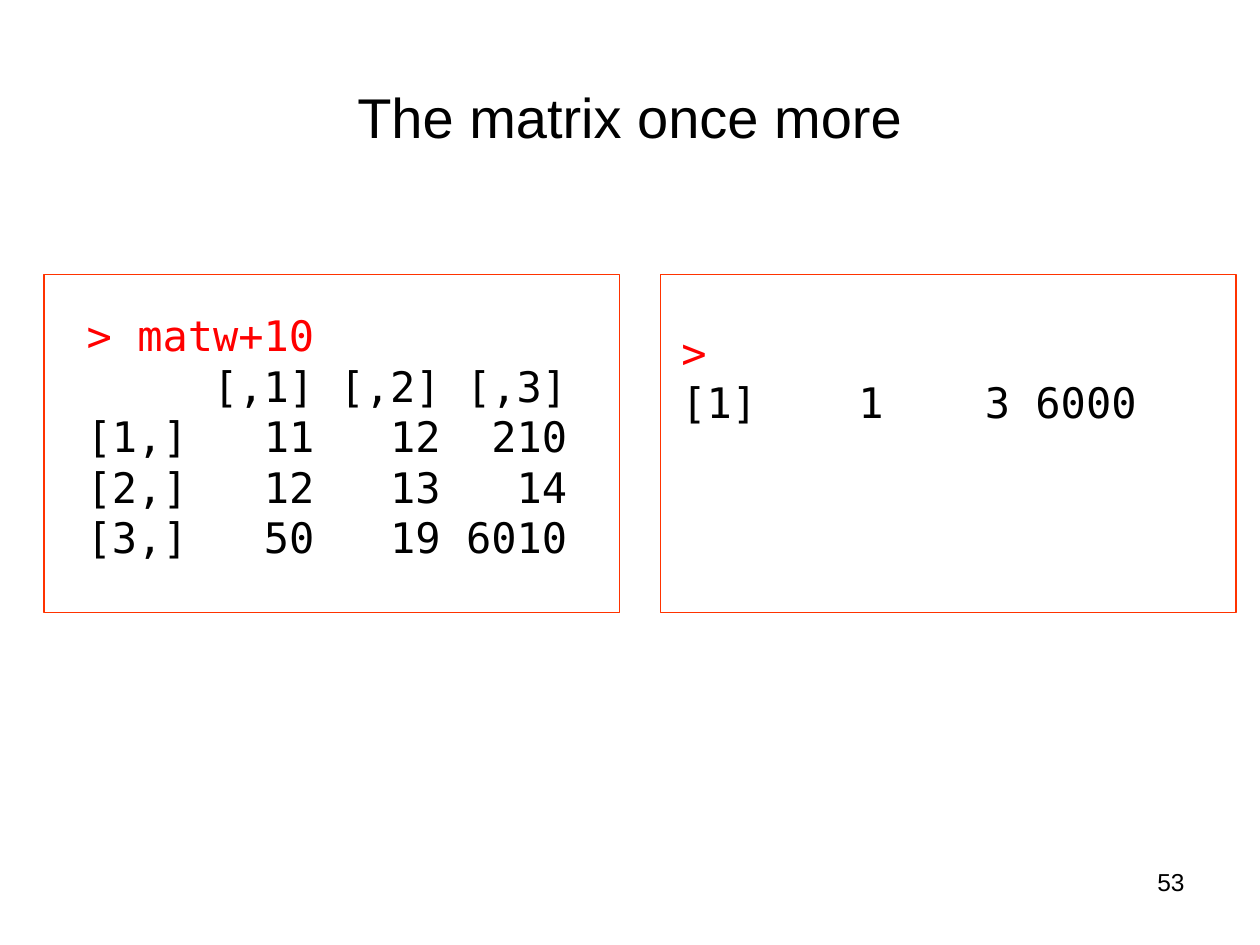
from lxml import etree
from pptx import Presentation
from pptx.dml.color import RGBColor
from pptx.enum.shapes import MSO_SHAPE
from pptx.enum.text import MSO_ANCHOR, PP_ALIGN
from pptx.oxml.ns import qn
from pptx.util import Inches, Pt

RECT = MSO_SHAPE.RECTANGLE
TOP, MIDDLE = MSO_ANCHOR.TOP, MSO_ANCHOR.MIDDLE
LEFT, CENTER, RIGHT = PP_ALIGN.LEFT, PP_ALIGN.CENTER, PP_ALIGN.RIGHT

BLACK = RGBColor(0x00, 0x00, 0x00)
RED = RGBColor(0xFF, 0x00, 0x00)
ORANGE = RGBColor(0xFF, 0x33, 0x00)

CHAR = 0.2007  # width of one 24 pt mono character, in inches


class Page:
    sans = "Arial"
    mono = "DejaVu Sans Mono"

    def __init__(self, slide):
        self.slide = slide

    def box(self, x, y, w, h, anchor=TOP):
        shape = self.slide.shapes.add_textbox(
            Inches(x), Inches(y), Inches(w), Inches(h))
        frame = shape.text_frame
        frame.word_wrap = True
        frame.vertical_anchor = anchor
        return frame

    def style(self, para, text, size, face, color, align=LEFT):
        para.text = text
        para.alignment = align
        para.font.size = Pt(size)
        para.font.name = face
        para.font.color.rgb = color

    def label(self, text, x, y, w, h, size, align, anchor=TOP):
        frame = self.box(x, y, w, h, anchor)
        self.style(frame.paragraphs[0], text, size, self.sans, BLACK, align)

    def tabs(self, para, ends):
        """Set right tab stops at the columns where the numbers end."""
        stops = etree.SubElement(
            para._p.get_or_add_pPr(), qn("a:tabLst"))
        for end in ends:
            etree.SubElement(stops, qn("a:tab"),
                             pos=str(Inches(end * CHAR)), algn="r")

    def console(self, x, y, w, h, prompt, rows, ends):
        frame = self.box(x, y, w, h)
        self.style(frame.paragraphs[0], prompt, 24, self.mono, RED)
        for row in rows:
            para = frame.add_paragraph()
            self.tabs(para, ends)
            self.style(para, "\t".join(row), 24, self.mono, BLACK)

    def border(self, x, y, w, h):
        shape = self.slide.shapes.add_shape(
            RECT, Inches(x), Inches(y), Inches(w), Inches(h))
        shape.shadow.inherit = False
        shape.fill.background()
        shape.line.color.rgb = ORANGE
        shape.line.width = Pt(0.75)


def main():
    deck = Presentation()
    deck.slide_width, deck.slide_height = Inches(10), Inches(7.5)
    page = Page(deck.slides.add_slide(deck.slide_layouts[6]))

    # Title
    page.label("The matrix once more", 0.5, 0.3, 9, 1.25, 32, CENTER, MIDDLE)

    # Console output
    matrix = [
        ("", "[,1]", "[,2]", "[,3]"),
        ("[1,]", "11", "12", "210"),
        ("[2,]", "12", "13", "14"),
        ("[3,]", "50", "19", "6010"),
    ]
    page.console(0.59, 2.41, 4.33, 2.1, "> matw+10", matrix, (9, 14, 19))
    page.console(5.31, 2.54, 4.25, 0.9, ">",
                 [("[1]", "1", "3", "6000")], (8, 13, 18))

    # Frames
    for x in (0.35, 5.24):
        page.border(x, 2.18, 4.57, 2.68)

    # Slide number
    page.label("53", 7.17, 6.83, 2.33, 0.52, 14, RIGHT)

    deck.save("out.pptx")


if __name__ == "__main__":
    main()
